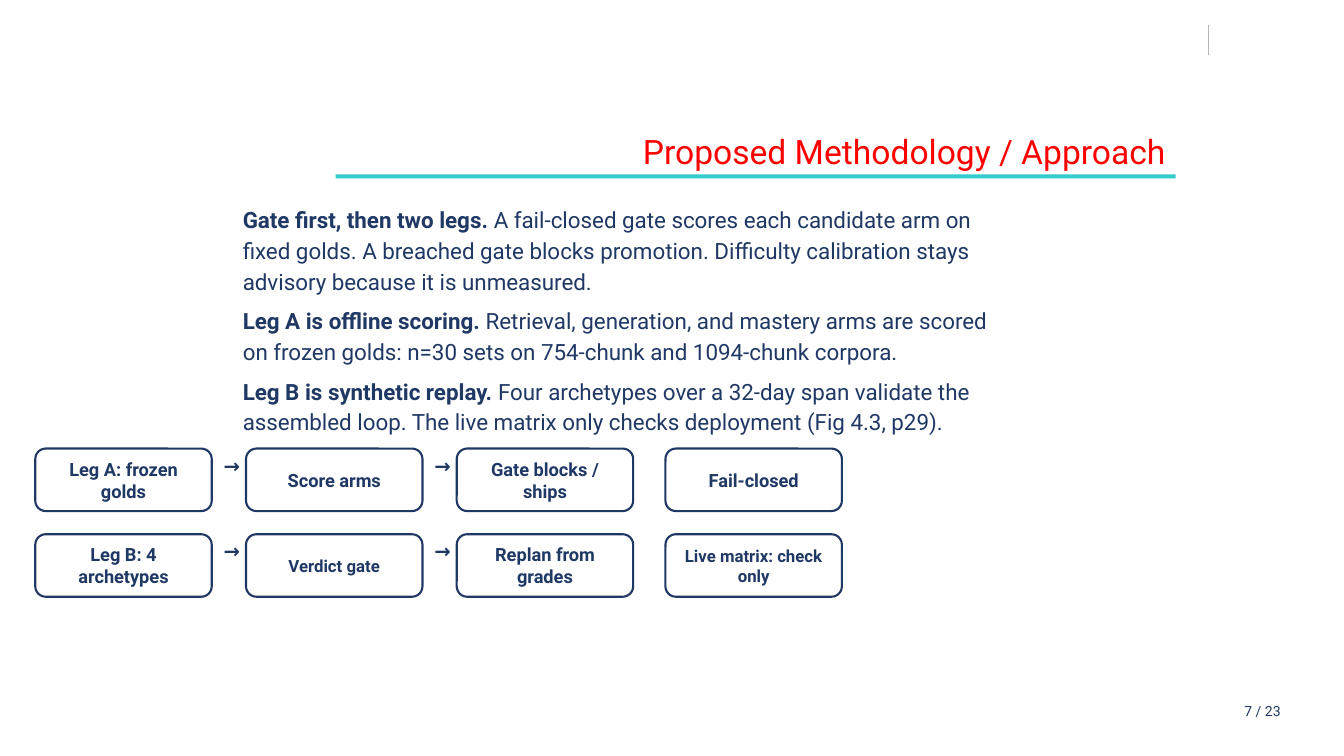
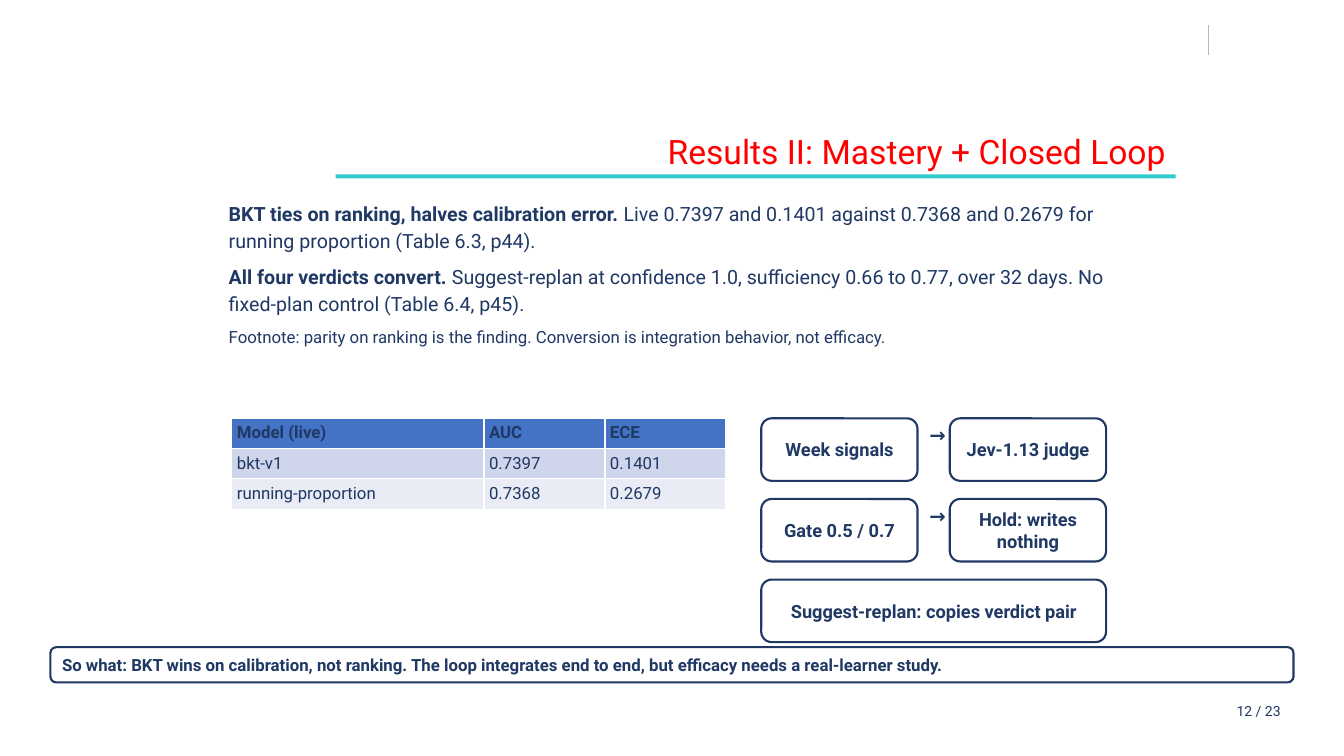
from lxml import etree
from pptx import Presentation
from pptx.dml.color import RGBColor
from pptx.enum import shapes, text
from pptx.oxml import ns
from pptx.util import Inches, Pt

FONT = "Roboto"
NAVY, RED, TEAL, GREY, WHITE = "1F3864", "FF0000", "33CCCC", "B7B7B7", "FFFFFF"
HEADER_FILL, ROW_FILLS = "4472C4", ("CFD5EA", "E9EBF5")
LEFT, CENTER, RIGHT = text.PP_ALIGN.LEFT, text.PP_ALIGN.CENTER, text.PP_ALIGN.RIGHT
STEP_HEIGHT = 0.62
ARROW_MARGIN = 0.02
TOTAL_PAGES = 23


def rgb(hex_code):
    return RGBColor.from_string(hex_code)


def style_font(font, size, color=NAVY, bold=False):
    font.name, font.size, font.bold = FONT, Pt(size), bold
    font.color.rgb = rgb(color)


def add_label(slide, box, label, size, color=NAVY, bold=False, align=LEFT):
    frame = slide.shapes.add_textbox(*map(Inches, box)).text_frame
    frame.word_wrap = True
    frame.text = label
    paragraph = frame.paragraphs[0]
    paragraph.alignment = align
    style_font(paragraph.runs[0].font, size, color, bold)


def add_frame(slide):
    """Corner divider and teal title rule found on every slide."""
    divider = slide.shapes.add_connector(
        shapes.MSO_CONNECTOR.STRAIGHT,
        Inches(11.99), Inches(0.25), Inches(11.99), Inches(0.55))
    divider.line.color.rgb = rgb(GREY)
    divider.line.width = Pt(0.75)
    etree.SubElement(divider._element.spPr, ns.qn("a:effectLst"))
    rule = slide.shapes.add_shape(
        shapes.MSO_SHAPE.RECTANGLE,
        Inches(3.33), Inches(1.73), Inches(8.33), Inches(0.04))
    rule.shadow.inherit = False
    rule.fill.solid()
    rule.fill.fore_color.rgb = rgb(TEAL)
    rule.line.fill.background()


def add_page(prs, title, page):
    slide = prs.slides.add_slide(prs.slide_layouts[6])
    add_frame(slide)
    add_label(slide, (2.08, 1.25, 9.58, 0.5), title, 24, RED, align=RIGHT)
    add_label(slide, (11.2, 6.92, 1.6, 0.25), f"{page} / {TOTAL_PAGES}", 10, align=RIGHT)
    return slide


def add_body(slide, box, points):
    """Write (lead, detail, size) points, with the lead in bold."""
    frame = slide.shapes.add_textbox(*map(Inches, box)).text_frame
    frame.word_wrap = True
    for index, (lead, detail, size) in enumerate(points):
        paragraph = frame.add_paragraph() if index else frame.paragraphs[0]
        paragraph.line_spacing = 1.15
        paragraph.space_after = Pt(6)
        for wording, bold in ((lead, True), (detail, False)):
            if wording:
                run = paragraph.add_run()
                run.text = wording
                style_font(run.font, size, bold=bold)


def add_card(slide, box, label, size=13, align=CENTER):
    card = slide.shapes.add_shape(
        shapes.MSO_SHAPE.ROUNDED_RECTANGLE, *map(Inches, box))
    card.shadow.inherit = False
    card.fill.solid()
    card.fill.fore_color.rgb = rgb(WHITE)
    card.line.color.rgb = rgb(NAVY)
    card.line.width = Pt(1.5)
    frame = card.text_frame
    frame.word_wrap = True
    frame.vertical_anchor = text.MSO_ANCHOR.MIDDLE
    frame.text = label
    paragraph = frame.paragraphs[0]
    paragraph.alignment = align
    style_font(paragraph.runs[0].font, size, bold=True)


def add_flow(slide, left, top, step_width, arrow_width, steps):
    """Place (label, size) steps in a row with an arrow between neighbours."""
    pitch = step_width + arrow_width + 2 * ARROW_MARGIN
    for index, (label, size) in enumerate(steps):
        x = left + index * pitch
        if index:
            arrow_x = x - ARROW_MARGIN - arrow_width
            add_label(slide, (arrow_x, top, arrow_width, STEP_HEIGHT), "→", 14,
                      bold=True, align=CENTER)
        add_card(slide, (x, top, step_width, STEP_HEIGHT), label, size)


def add_score_table(slide, left, top, widths, rows, row_height=0.3):
    table = slide.shapes.add_table(
        len(rows), len(widths), Inches(left), Inches(top),
        Inches(sum(widths)), Inches(row_height * len(rows))).table
    for column, width in zip(table.columns, widths):
        column.width = Inches(width)
    for row_index, row in enumerate(rows):
        fill = ROW_FILLS[(row_index - 1) % 2] if row_index else HEADER_FILL
        for column_index, value in enumerate(row):
            cell = table.cell(row_index, column_index)
            cell.fill.solid()
            cell.fill.fore_color.rgb = rgb(fill)
            cell.margin_left = cell.margin_right = Inches(0.05)
            cell.margin_top = cell.margin_bottom = Inches(0.05)
            cell.text_frame.text = value
            run = cell.text_frame.paragraphs[0].runs[0]
            style_font(run.font, 12, bold=row_index == 0)


def add_methodology(prs):
    slide = add_page(prs, "Proposed Methodology / Approach", 7)
    add_body(slide, (2.31, 1.96, 7.66, 5.17), [
        ("Gate first, then two legs. ",
         "A fail-closed gate scores each candidate arm on fixed golds. A breached gate "
         "blocks promotion. Difficulty calibration stays advisory because it is "
         "unmeasured.", 16),
        ("Leg A is offline scoring. ",
         "Retrieval, generation, and mastery arms are scored on frozen golds: n=30 sets "
         "on 754-chunk and 1094-chunk corpora.", 16),
        ("Leg B is synthetic replay. ",
         "Four archetypes over a 32-day span validate the assembled loop. The live "
         "matrix only checks deployment (Fig 4.3, p29).", 16),
    ])
    step_width = 1.75
    legs = [
        ([("Leg A: frozen golds", 13), ("Score arms", 13), ("Gate blocks / ships", 13)],
         ("Fail-closed", 13)),
        ([("Leg B: 4 archetypes", 13), ("Verdict gate", 12), ("Replan from grades", 13)],
         ("Live matrix: check only", 12)),
    ]
    for index, (steps, (note, note_size)) in enumerate(legs):
        top = 4.45 + index * 0.85
        add_flow(slide, 0.35, top, step_width, 0.3, steps)
        add_card(slide, (6.6, top, step_width, STEP_HEIGHT), note, note_size)


def add_results(prs):
    slide = add_page(prs, "Results II: Mastery + Closed Loop", 12)
    add_body(slide, (2.17, 1.92, 9, 5.17), [
        ("BKT ties on ranking, halves calibration error. ",
         "Live 0.7397 and 0.1401 against 0.7368 and 0.2679 for running proportion "
         "(Table 6.3, p44).", 14),
        ("All four verdicts convert. ",
         "Suggest-replan at confidence 1.0, sufficiency 0.66 to 0.77, over 32 days. "
         "No fixed-plan control (Table 6.4, p45).", 14),
        ("", "Footnote: parity on ranking is the finding. Conversion is integration "
         "behavior, not efficacy.", 12),
    ])
    top, pitch, flow_left = 4.15, 0.8, 7.55
    add_score_table(slide, 2.3, top, (2.5, 1.2, 1.2), [
        ("Model (live)", "AUC", "ECE"),
        ("bkt-v1", "0.7397", "0.1401"),
        ("running-proportion", "0.7368", "0.2679"),
    ])
    flows = [("Week signals", "Jev-1.13 judge"), ("Gate 0.5 / 0.7", "Hold: writes nothing")]
    for index, labels in enumerate(flows):
        add_flow(slide, flow_left, top + index * pitch, 1.55, 0.28,
                 [(label, 13) for label in labels])
    add_card(slide, (flow_left, top + len(flows) * pitch, 3.42, STEP_HEIGHT),
             "Suggest-replan: copies verdict pair")
    add_card(slide, (0.5, 6.42, 12.33, 0.35),
             "So what: BKT wins on calibration, not ranking. The loop integrates end to "
             "end, but efficacy needs a real-learner study.", 12, LEFT)


def main():
    prs = Presentation()
    prs.slide_width, prs.slide_height = Inches(13.33), Inches(7.5)
    add_methodology(prs)
    add_results(prs)
    prs.save("out.pptx")


if __name__ == "__main__":
    main()
